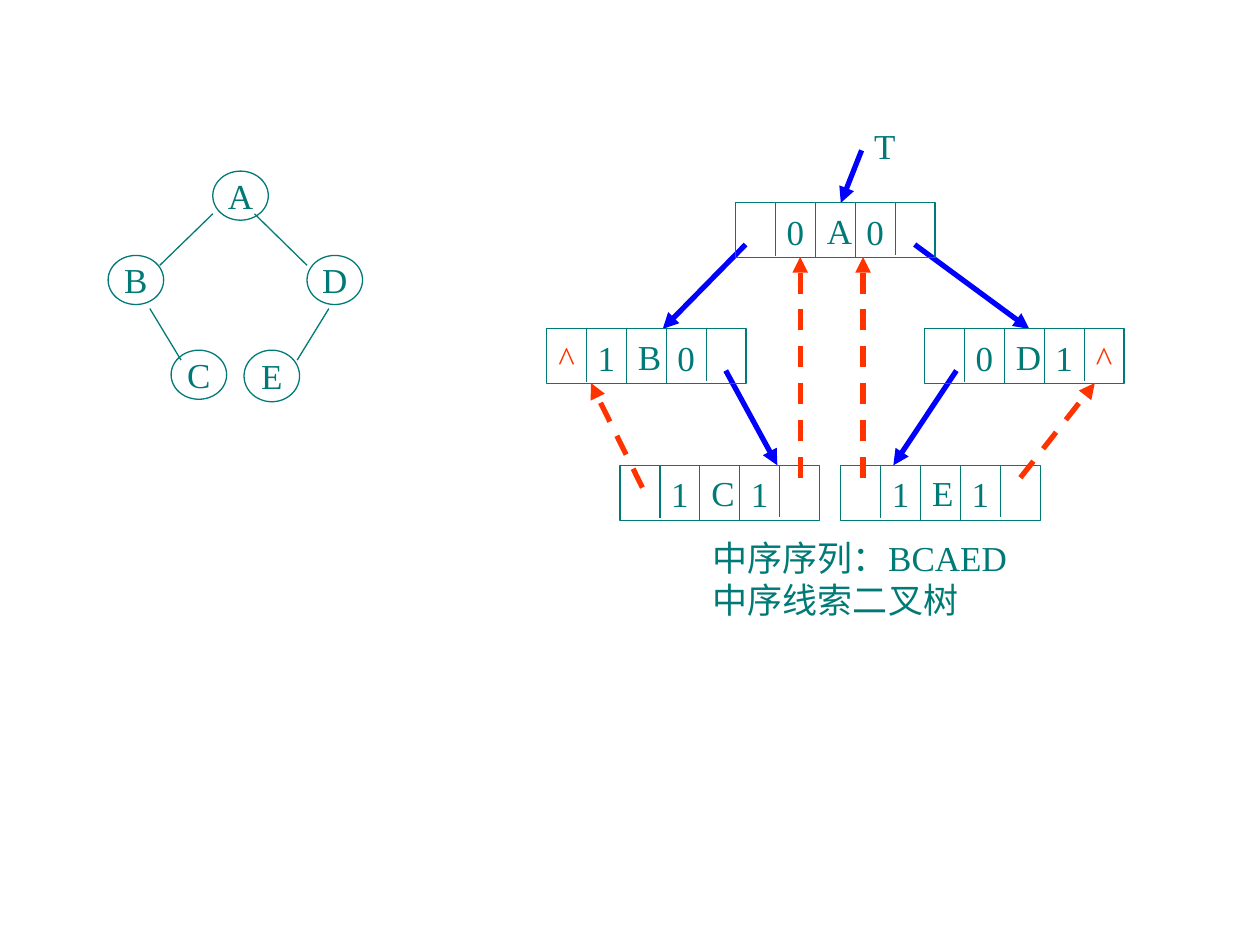
from collections import namedtuple
from dataclasses import dataclass

from lxml.etree import SubElement
from pptx import Presentation
from pptx.dml.color import RGBColor
from pptx.enum.dml import MSO_LINE_DASH_STYLE as Dash
from pptx.enum.shapes import MSO_CONNECTOR as Link, MSO_SHAPE as Preset
from pptx.enum.text import MSO_ANCHOR as Anchor, MSO_AUTO_SIZE as Fit, PP_ALIGN as Align
from pptx.oxml.ns import qn
from pptx.util import Cm, Pt


@dataclass(frozen=True)
class Theme:
    ink: RGBColor = RGBColor(0x00, 0x7A, 0x77)
    child: RGBColor = RGBColor(0x00, 0x00, 0xFF)
    thread: RGBColor = RGBColor(0xFF, 0x33, 0x00)
    font: str = "Times New Roman"
    size: Pt = Pt(20)
    thin: Pt = Pt(0.75)
    thick: Pt = Pt(3)


THEME = Theme()
Box = namedtuple("Box", "left top width height")
CELL_WIDTH, CELL_HEIGHT = 0.804, 1.11
NODE_WIDTH = 5 * CELL_WIDTH
DIVIDER_HEIGHTS = (1.07, 1.11, 1.11, 1.05)
LETTER_INDENT = 1.84


def place(box, x, y, width, height):
    return [Cm(v) for v in (box.left + x, box.top + y, width, height)]


def write(frame, lines, color=THEME.ink, align=Align.LEFT, anchor=Anchor.MIDDLE):
    frame.vertical_anchor = anchor
    for index, line in enumerate(lines):
        paragraph = frame.add_paragraph() if index else frame.paragraphs[0]
        paragraph.alignment = align
        run = paragraph.add_run()
        run.text = line
        run.font.name = THEME.font
        run.font.size = THEME.size
        run.font.color.rgb = color


def add_label(slide, area, lines, **style):
    frame = slide.shapes.add_textbox(*area).text_frame
    frame.word_wrap = False
    frame.auto_size = Fit.SHAPE_TO_FIT_TEXT
    write(frame, lines, **style)


def add_outline(slide, preset, area):
    outline = slide.shapes.add_shape(preset, *area)
    outline.shadow.inherit = False
    outline.fill.background()
    outline.line.color.rgb = THEME.ink
    outline.line.width = THEME.thin
    return outline


def add_line(slide, box, start, end, color=THEME.ink, width=THEME.thin, arrow=False, dash=None):
    ends = [Cm(v) for x, y in (start, end) for v in (box.left + x, box.top + y)]
    line = slide.shapes.add_connector(Link.STRAIGHT, *ends)
    line.line.color.rgb = color
    line.line.width = width
    if dash:
        line.line.dash_style = dash
    if arrow:
        SubElement(line.line._get_or_add_ln(), qn("a:tailEnd"), type="triangle")
    SubElement(line._element.spPr, qn("a:effectLst"))


def draw_binary_tree(slide, box):
    nodes = {"A": (2.11, 0), "B": (0, 1.7), "C": (1.27, 3.61), "D": (4.01, 1.7), "E": (2.74, 3.61)}
    for letter, (x, y) in nodes.items():
        height = 1.04 if letter == "E" else 0.99
        circle = add_outline(slide, Preset.OVAL, place(box, x, y, 1.12, height))
        circle.text_frame.word_wrap = False
        write(circle.text_frame, [letter], align=Align.CENTER)
    branches = [
        ((2.11, 0.86), (1.04, 1.9)),
        ((2.95, 0.86), (4.01, 1.9)),
        ((0.84, 2.77), (1.47, 3.81)),
        ((4.45, 2.77), (3.81, 3.81)),
    ]
    for start, end in branches:
        add_line(slide, box, start, end)


def draw_list_node(slide, box, letter, fields):
    record = add_outline(slide, Preset.RECTANGLE, place(box, 0, 0, box.width, box.height))
    record.text_frame.margin_left = Cm(LETTER_INDENT)
    record.text_frame.word_wrap = False
    write(record.text_frame, [letter])
    for number, height in enumerate(DIVIDER_HEIGHTS, 1):
        x = number * CELL_WIDTH
        add_line(slide, box, (x, 0), (x, height))
    label_width = 0.86
    for column, mark in fields.items():
        x = (column + 0.5) * CELL_WIDTH - label_width / 2
        color = THEME.thread if mark == "^" else THEME.ink
        add_label(slide, place(box, x, 0.02, label_width, CELL_HEIGHT), [mark],
                  color=color, align=Align.CENTER)


def draw_threaded_tree(slide, box):
    child_links = [
        ((4.01, 2.54), (2.34, 4.24)),
        ((7.42, 2.54), (9.73, 4.24)),
        ((3.61, 5.08), (4.65, 6.99)),
        ((8.26, 5.08), (6.99, 6.99)),
        ((6.35, 0.64), (5.93, 1.7)),
    ]
    for start, end in child_links:
        add_line(slide, box, start, end, THEME.child, THEME.thick, arrow=True)

    records = [
        ("A", 3.81, 1.7, {1: "0", 3: "0"}),
        ("B", 0, 4.24, {0: "^", 1: "1", 3: "0"}),
        ("D", 7.62, 4.24, {1: "0", 3: "1", 4: "^"}),
        ("C", 1.48, 6.99, {1: "1", 3: "1"}),
        ("E", 5.93, 6.99, {1: "1", 3: "1"}),
    ]
    for letter, x, y, fields in records:
        node_box = Box(box.left + x, box.top + y, NODE_WIDTH, CELL_HEIGHT)
        draw_list_node(slide, node_box, letter, fields)

    add_label(slide, place(box, 6.35, 0, 0.94, 1.11), ["T"], anchor=Anchor.TOP)
    add_label(slide, place(box, 3.1, 8.31, 6.6, 1.96),
              ["中序序列：BCAED", "中序线索二叉树"], anchor=Anchor.TOP)

    threads = [
        ((1.93, 7.44), (0.89, 5.33)),
        ((5.11, 7.24), (5.11, 2.79)),
        ((6.38, 7.24), (6.38, 2.79)),
        ((9.55, 7.24), (11.05, 5.33)),
    ]
    for start, end in threads:
        add_line(slide, box, start, end, THEME.thread, THEME.thick, arrow=True, dash=Dash.DASH)


def main():
    deck = Presentation()
    deck.slide_width, deck.slide_height = Cm(25.4), Cm(19.05)
    slide = deck.slides.add_slide(deck.slide_layouts[6])
    draw_binary_tree(slide, Box(2.18, 3.45, 5.13, 4.65))
    draw_threaded_tree(slide, Box(11.02, 2.39, 11.64, 10.27))
    deck.save("out.pptx")


if __name__ == "__main__":
    main()
